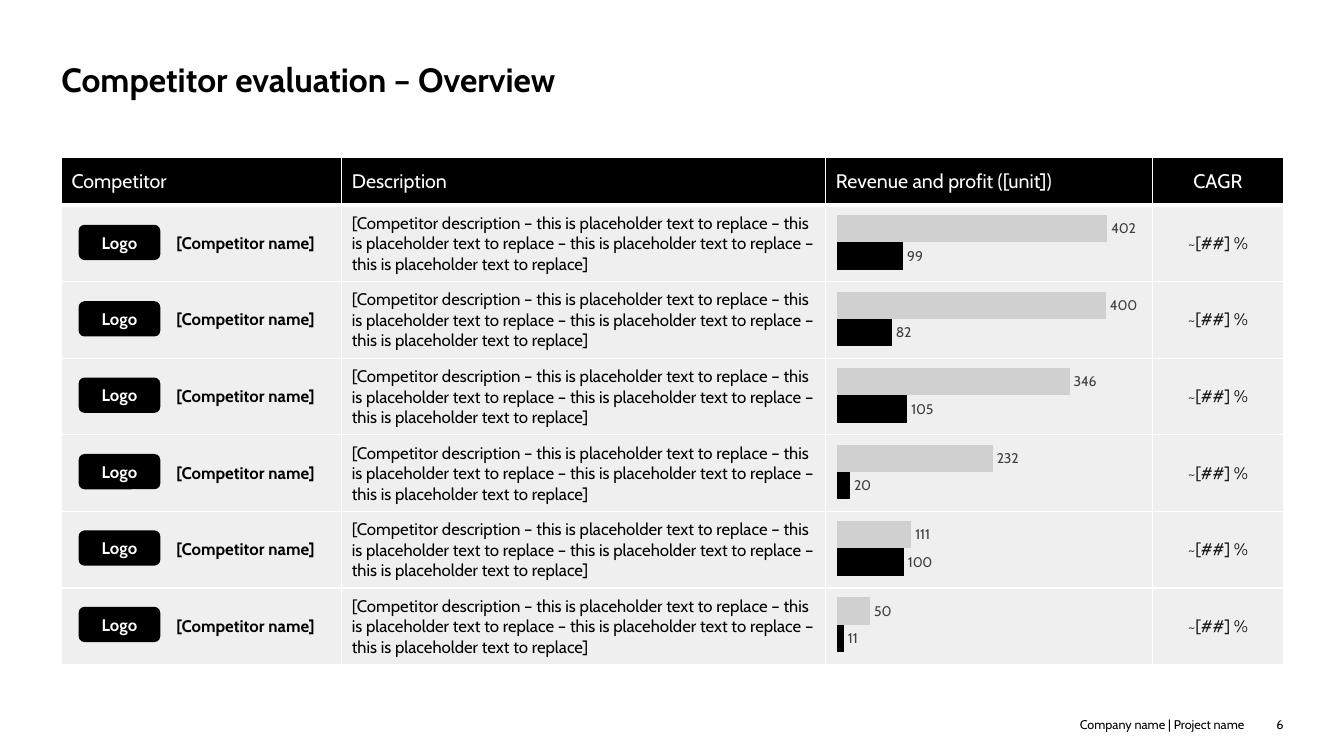
"""Build the competitor evaluation overview slide."""
from dataclasses import dataclass

from lxml import etree
from pptx import Presentation
from pptx import slide as sl
from pptx import table as tb
from pptx import util as u
from pptx.chart import data as cd
from pptx.dml import color
from pptx.enum import chart as ch
from pptx.enum import shapes, text
from pptx.oxml import ns
from pptx.text import text as tx

BLACK = color.RGBColor(0x00, 0x00, 0x00)
WHITE = color.RGBColor(0xFF, 0xFF, 0xFF)
ROW_FILL = color.RGBColor(0xEF, 0xEF, 0xEF)
CAGR_INK = color.RGBColor(0x1B, 0x1B, 0x1D)
LABEL_INK = color.RGBColor(0x40, 0x40, 0x40)
REVENUE = color.RGBColor(0xD0, 0xD0, 0xD0)
FONT = "Cabin"
LEFT, CENTER, RIGHT = text.PP_ALIGN.LEFT, text.PP_ALIGN.CENTER, text.PP_ALIGN.RIGHT
MIDDLE, BOTTOM = text.MSO_ANCHOR.MIDDLE, text.MSO_ANCHOR.BOTTOM

COMPETITORS = 6
LOGO_TOP, LOGO_STEP = 2.23, 0.758
HEADER_HEIGHT, ROW_HEIGHT = 0.47, 0.76
FILLER = " – ".join(["this is placeholder text to replace"] * 4)


@dataclass(frozen=True)
class Style:
    size: float
    ink: color.RGBColor = BLACK
    bold: bool = False
    align: text.PP_ALIGN = LEFT


@dataclass(frozen=True)
class Column:
    title: str
    width: float
    body: str
    style: Style
    inset: float = 0.1


@dataclass(frozen=True)
class Label:
    words: str
    left: float
    top: float
    width: float
    height: float
    style: Style
    wrap: bool = True


@dataclass(frozen=True)
class Measure:
    name: str
    values: tuple[int, ...]
    fill: color.RGBColor


COLUMNS = (
    Column("Competitor", 2.78, "[Competitor name]", Style(12, bold=True), 1.14),
    Column("Description", 4.8, f"[Competitor description – {FILLER}]", Style(12)),
    Column("Revenue and profit ([unit])", 3.24, "", Style(12)),
    Column("CAGR", 1.3, "~[##] %", Style(12, CAGR_INK, align=CENTER)),
)
LABELS = (
    Label("Competitor evaluation – Overview", 0.61, 0.39, 12.12, 0.59, Style(24, bold=True)),
    Label("Company name | Project name", 10.6, 7.11, 1.74, 0.15, Style(9, align=RIGHT), False),
    Label("6", 12.37, 7.11, 0.36, 0.15, Style(9, align=RIGHT)),
)
MEASURES = (
    Measure("Series 1", (402, 400, 346, 232, 111, 50), REVENUE),
    Measure("Series 2", (99, 82, 105, 20, 100, 11), BLACK),
)


def style_font(font: tx.Font, style: Style) -> None:
    font.name = FONT
    font.size = u.Pt(style.size)
    font.bold = style.bold
    font.color.rgb = style.ink


def write(frame: tx.TextFrame, words: str, style: Style) -> None:
    frame.text = words
    para = frame.paragraphs[0]
    para.alignment = style.align
    for span in para.runs:
        style_font(span.font, style)


def clear_margins(frame: tx.TextFrame) -> None:
    frame.margin_left = frame.margin_right = frame.margin_top = frame.margin_bottom = 0


def add_label(page: sl.Slide, label: Label) -> None:
    bounds = map(u.Inches, (label.left, label.top, label.width, label.height))
    frame = page.shapes.add_textbox(*bounds).text_frame
    clear_margins(frame)
    frame.word_wrap = label.wrap
    frame.vertical_anchor = BOTTOM
    write(frame, label.words, label.style)


def add_borders(cell: tb._Cell, bottom: float) -> None:
    properties = cell._tc.get_or_add_tcPr()
    for side, points in (("L", 1), ("R", 1), ("T", 1), ("B", bottom)):
        line = etree.SubElement(properties, ns.qn(f"a:ln{side}"), w=str(u.Pt(points)))
        fill = etree.SubElement(line, ns.qn("a:solidFill"))
        etree.SubElement(fill, ns.qn("a:srgbClr"), val=str(WHITE))


def fill_cell(cell: tb._Cell, words: str, style: Style, inset: float, header: bool) -> None:
    add_borders(cell, 3 if header else 1)
    cell.fill.solid()
    cell.fill.fore_color.rgb = BLACK if header else ROW_FILL
    cell.vertical_anchor = MIDDLE
    cell.margin_left, cell.margin_right = u.Inches(inset), u.Inches(0.1)
    cell.margin_top = cell.margin_bottom = u.Inches(0.12 if header else 0.08)
    write(cell.text_frame, words, style)


def add_overview(page: sl.Slide) -> None:
    height = HEADER_HEIGHT + COMPETITORS * ROW_HEIGHT
    bounds = map(u.Inches, (0.61, 1.56, 12.12, height))
    table = page.shapes.add_table(COMPETITORS + 1, len(COLUMNS), *bounds).table
    for index, row in enumerate(table.rows):
        row.height = u.Inches(ROW_HEIGHT if index else HEADER_HEIGHT)
    for index, column in enumerate(COLUMNS):
        table.columns[index].width = u.Inches(column.width)
        heading = Style(14, WHITE, align=column.style.align)
        fill_cell(table.cell(0, index), column.title, heading, 0.1, True)
        for row_index in range(1, COMPETITORS + 1):
            cell = table.cell(row_index, index)
            fill_cell(cell, column.body, column.style, column.inset, False)


def add_logo(page: sl.Slide, top: float) -> None:
    bounds = map(u.Inches, (0.78, top, 0.81, 0.35))
    badge = page.shapes.add_shape(shapes.MSO_SHAPE.ROUNDED_RECTANGLE, *bounds)
    badge.shadow.inherit = False
    badge.fill.solid()
    badge.fill.fore_color.rgb = BLACK
    badge.line.fill.background()
    frame = badge.text_frame
    clear_margins(frame)
    frame.vertical_anchor = MIDDLE
    write(frame, "Logo", Style(12, WHITE, True, CENTER))


def add_bars(page: sl.Slide) -> None:
    figures = cd.CategoryChartData()
    figures.categories = [str(number) for number in range(1, COMPETITORS + 1)]
    for measure in MEASURES:
        figures.add_series(measure.name, measure.values)
    bounds = map(u.Inches, (8.17, 1.98, 3.19, 4.6))
    chart = page.shapes.add_chart(ch.XL_CHART_TYPE.BAR_CLUSTERED, *bounds, figures).chart
    style_font(chart.font, Style(10))
    chart.has_legend = chart.has_title = False
    categories, scale = chart.category_axis, chart.value_axis
    categories.reverse_order = True
    scale.minimum_scale, scale.maximum_scale, scale.major_unit = 0, 425, 25
    scale.has_major_gridlines = False
    categories.visible = scale.visible = False
    plot = chart.plots[0]
    plot.gap_width, plot.overlap, plot.vary_by_categories = 80, 0, False
    for series, measure in zip(plot.series, MEASURES):
        series.format.fill.solid()
        series.format.fill.fore_color.rgb = measure.fill
        labels = series.data_labels
        labels.show_value = True
        labels.position = ch.XL_LABEL_POSITION.OUTSIDE_END
        style_font(labels.font, Style(10, LABEL_INK))
    area = chart._chartSpace.chart.plotArea
    for old in area.findall(ns.qn("c:layout")):
        area.remove(old)
    layout = etree.Element(ns.qn("c:layout"))
    area.insert(0, layout)
    manual = etree.SubElement(layout, ns.qn("c:manualLayout"))
    settings = {"layoutTarget": "inner", "xMode": "edge", "yMode": "edge",
                "x": 0.04, "y": 0.01, "w": 0.89, "h": 0.99}
    for name, value in settings.items():
        etree.SubElement(manual, ns.qn(f"c:{name}"), val=str(value))


def main() -> None:
    deck = Presentation()
    deck.slide_width, deck.slide_height = u.Inches(13.33), u.Inches(7.5)
    page = deck.slides.add_slide(deck.slide_layouts[6])
    for label in LABELS:
        add_label(page, label)
    add_overview(page)
    for index in range(COMPETITORS):
        add_logo(page, LOGO_TOP + index * LOGO_STEP)
    add_bars(page)
    deck.save("out.pptx")


if __name__ == "__main__":
    main()
